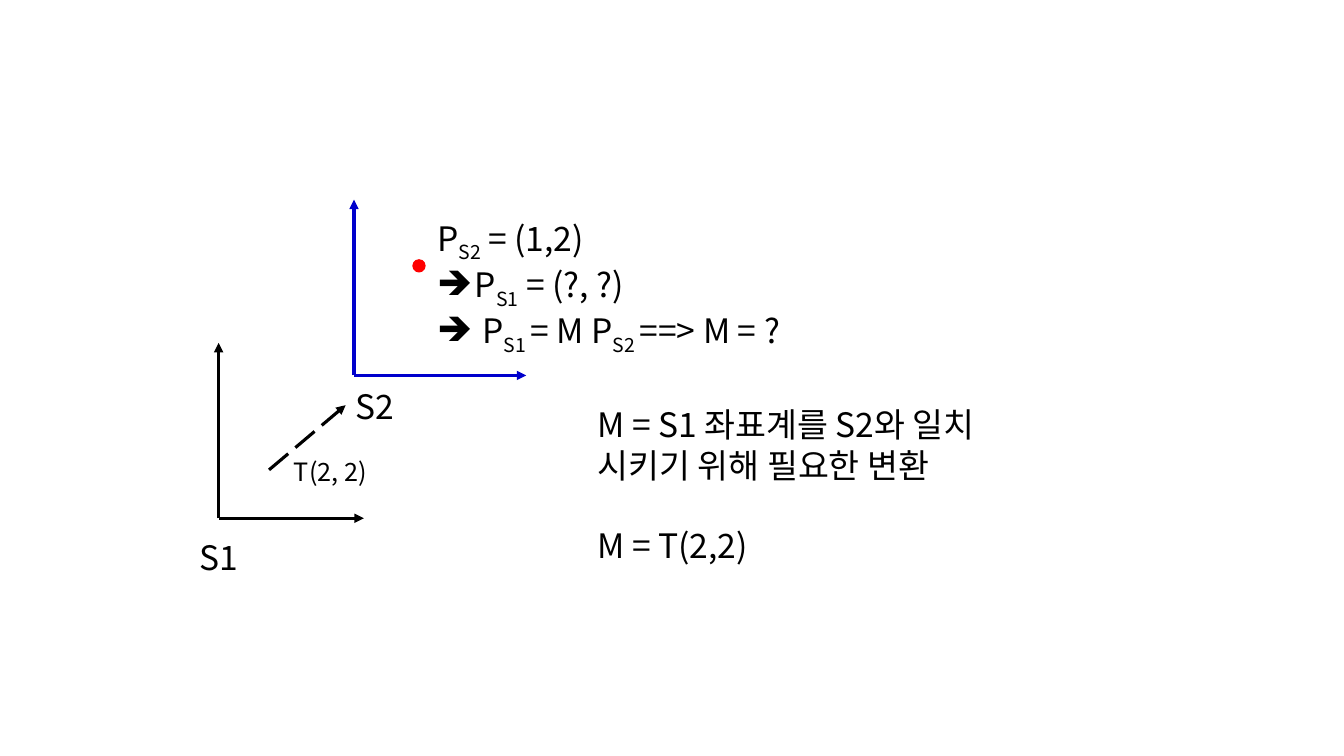
import pptx
import pptx.util
import pptx.dml.color
import pptx.enum.dml
import pptx.enum.shapes
import pptx.enum.text
import pptx.oxml.ns
import lxml.etree

Cm = pptx.util.Cm
Pt = pptx.util.Pt
RGBColor = pptx.dml.color.RGBColor
qn = pptx.oxml.ns.qn

BLACK = RGBColor(0x00, 0x00, 0x00)
BLUE = RGBColor(0x00, 0x00, 0xCC)
RED = RGBColor(0xFF, 0x00, 0x00)
FONT = "Noto Sans CJK KR"

presentation = pptx.Presentation()
presentation.slide_width = Cm(33.87)
presentation.slide_height = Cm(19.05)
slide = presentation.slides.add_slide(presentation.slide_layouts[6])


def add_arrow(start, end, color):
    arrow = slide.shapes.add_connector(
        pptx.enum.shapes.MSO_CONNECTOR.STRAIGHT,
        Cm(start[0]), Cm(start[1]), Cm(end[0]), Cm(end[1]))
    arrow.line.color.rgb = color
    arrow.line.width = Pt(2.25)
    properties = arrow._element.spPr
    lxml.etree.SubElement(properties.find(qn("a:ln")), qn("a:tailEnd"), type="triangle")
    lxml.etree.SubElement(properties, qn("a:effectLst"))
    return arrow


def add_text(left, top, width, height, size, line_height, lines):
    box = slide.shapes.add_textbox(Cm(left), Cm(top), Cm(width), Cm(height))
    frame = box.text_frame
    frame.word_wrap = True
    for index, pieces in enumerate(lines):
        paragraph = frame.paragraphs[0] if index == 0 else frame.add_paragraph()
        paragraph.line_spacing = Pt(line_height)
        paragraph.font.size = Pt(size)
        paragraph.font.name = FONT
        paragraph.font.color.rgb = BLACK
        for position, piece in enumerate(pieces):
            run = paragraph.add_run()
            run.text = piece
            run_properties = run._r.get_or_add_rPr()
            lxml.etree.SubElement(run_properties, qn("a:ea"), typeface=FONT)
            if position % 2:
                run_properties.set("baseline", "-25000")
    return frame.paragraphs


axes = [
    ((5.51, 13.06), 4.42, 3.66, BLACK),
    ((8.92, 9.46), 4.43, 4.34, BLUE),
]
for (x, y), rise, reach, color in axes:
    add_arrow((x, y), (x, y - rise), color)
    add_arrow((x, y), (x + reach, y), color)

translation = add_arrow((6.78, 11.84), (8.71, 10.21), BLACK)
translation.line.dash_style = pptx.enum.dml.MSO_LINE.LONG_DASH

add_text(7.16, 11.38, 4.75, 1.02, 18, 21.6, [["T(2, 2)"]])
add_text(4.78, 13.41, 4.75, 1.27, 24, 28.8, [["S1"]])
add_text(8.71, 9.6, 4.75, 1.27, 24, 28.8, [["S2"]])

point = slide.shapes.add_shape(
    pptx.enum.shapes.MSO_SHAPE.OVAL, Cm(10.41), Cm(6.55), Cm(0.3), Cm(0.3))
point.shadow.inherit = False
point.fill.solid()
point.fill.fore_color.rgb = RED
point.line.color.rgb = RED
point.line.width = Pt(1)

coordinates = add_text(10.77, 5.36, 13.28, 3.33, 24, 33, [
    ["P", "S2", " = (1,2)"],
    ["P", "S1", " = (?, ?)"],
    [" P", "S1 ", "= M P", "S2 ", "==> M = ?"],
])
for paragraph in coordinates[1:]:
    properties = paragraph._p.get_or_add_pPr()
    properties.set("marL", str(Cm(0.95)))
    properties.set("indent", str(-Cm(0.95)))
    lxml.etree.SubElement(properties, qn("a:buChar"), char="➔")

explanation = add_text(14.81, 10.06, 12.27, 4.37, 24, 28.8, [
    ["M = S1 좌표계를 S2와 일치 시키기 위해 필요한 변환"],
    ["M = T(2,2)"],
])
explanation[1].space_before = Pt(28.8)

presentation.save("out.pptx")
